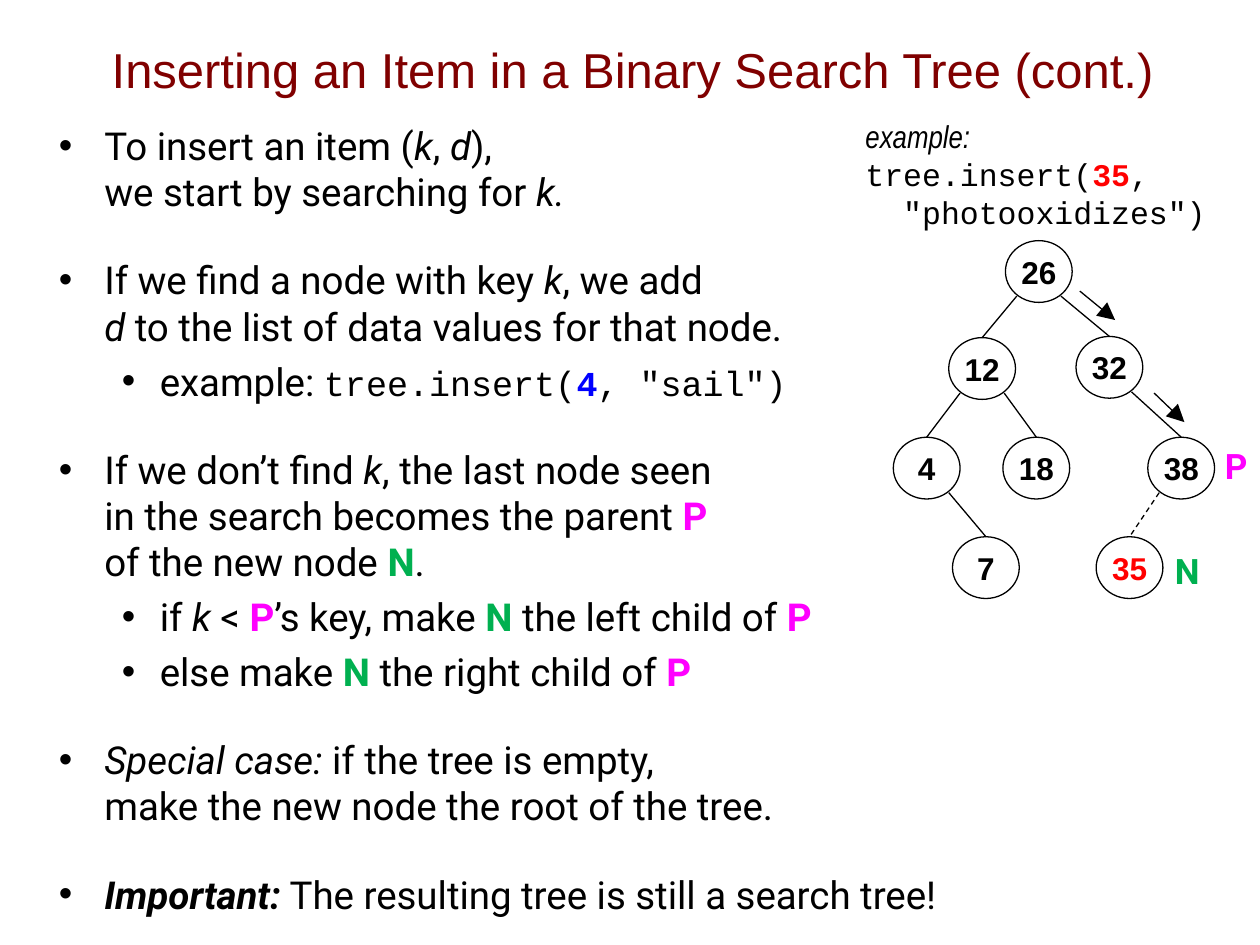
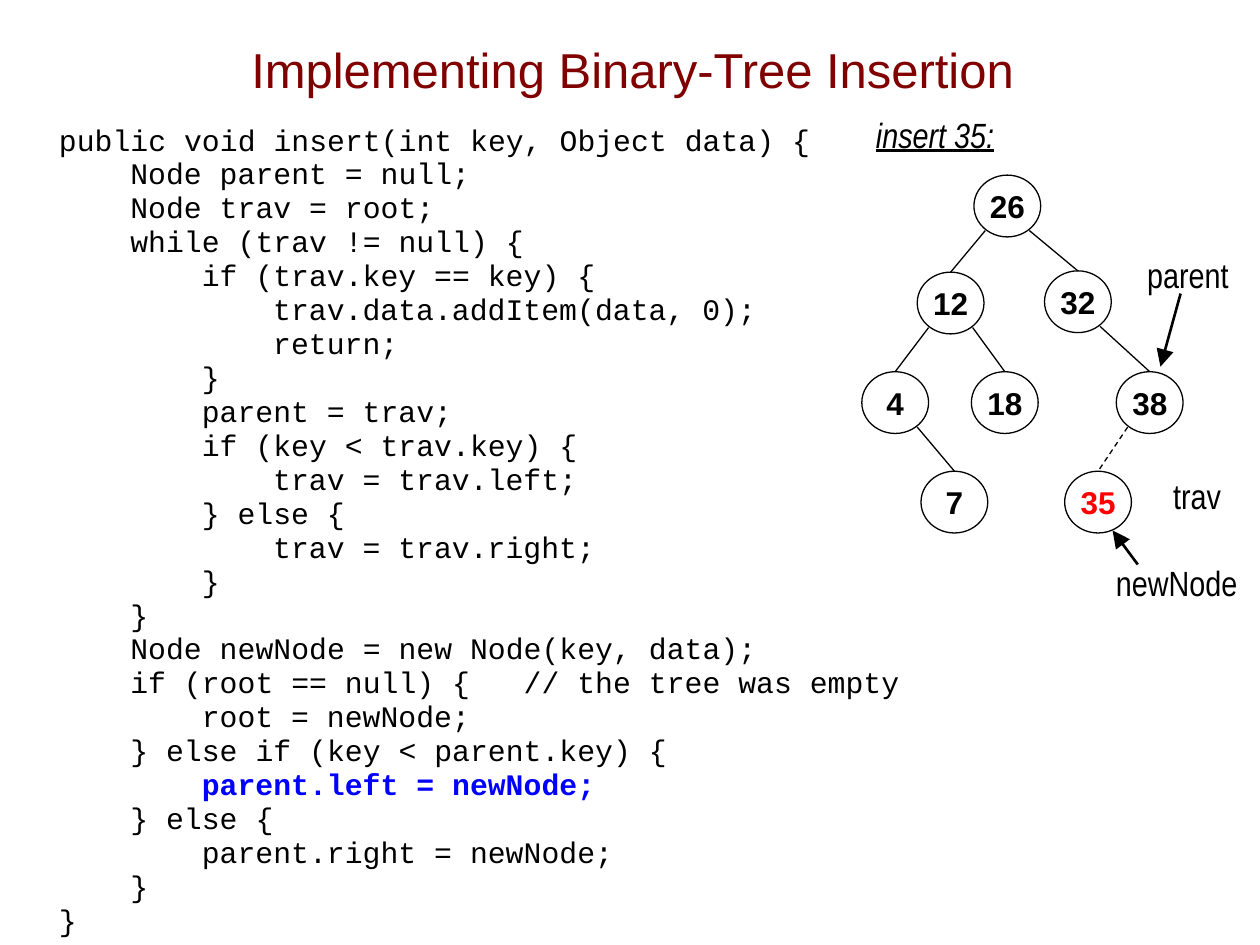
"""Builds two slides on inserting an item in a binary search tree."""
from lxml import etree
from pptx import Presentation
from pptx.dml.color import RGBColor
from pptx.enum.dml import MSO_LINE
from pptx.enum.shapes import MSO_CONNECTOR, MSO_SHAPE
from pptx.enum.text import MSO_ANCHOR, MSO_AUTO_SIZE, PP_ALIGN
from pptx.oxml.ns import qn
from pptx.util import Inches, Pt

LEFT, CENTER, RIGHT = PP_ALIGN.LEFT, PP_ALIGN.CENTER, PP_ALIGN.RIGHT
MIDDLE = MSO_ANCHOR.MIDDLE
GROW = MSO_AUTO_SIZE.SHAPE_TO_FIT_TEXT
STRAIGHT = MSO_CONNECTOR.STRAIGHT
ELLIPSE, RECTANGLE = MSO_SHAPE.OVAL, MSO_SHAPE.RECTANGLE
DASH = MSO_LINE.DASH

COLORS = {"text": "000000", "title": "800000", "paper": "FFFFFF", "blue": "0000FF",
          "red": "FF0000", "parent": "FF00FF", "new": "00B050"}
SANS, NARROW, MONO, BODY = "Arial", "Arial Narrow", "Courier New", "Roboto"

STYLES = {
    "body": {"font": BODY, "size": 22},
    "italic": {"font": BODY, "size": 22, "italic": True},
    "strong": {"font": BODY, "size": 22, "italic": True, "bold": True},
    "P": {"font": BODY, "size": 22, "bold": True, "color": "parent"},
    "N": {"font": BODY, "size": 22, "bold": True, "color": "new"},
    "call": {"font": MONO, "size": 20},
    "call key": {"font": MONO, "size": 20, "bold": True, "color": "blue"},
    "code": {"font": MONO, "size": 17},
    "code key": {"font": MONO, "size": 17, "bold": True, "color": "blue"},
    "title": {"font": SANS, "size": 28, "color": "title"},
    "node": {"font": SANS, "size": 18, "bold": True},
    "new node": {"font": SANS, "size": 18, "bold": True, "color": "red"},
    "example": {"font": NARROW, "size": 18, "italic": True},
    "example call": {"font": MONO, "size": 18},
    "example key": {"font": MONO, "size": 18, "bold": True, "color": "red"},
    "P mark": {"font": BODY, "size": 20, "bold": True, "color": "parent"},
    "N mark": {"font": BODY, "size": 20, "bold": True, "color": "new"},
    "pointer": {"font": NARROW, "size": 20},
    "heading": {"font": NARROW, "size": 20, "italic": True, "underline": True},
}

TITLES = ["Inserting an Item in a Binary Search Tree (cont.)",
          "Implementing Binary-Tree Insertion"]
TITLE_BOX = (0.43, 0.08, 9.18, 0.93)
BODY_BOX = (0.37, 0.92, 9.63, 6.14)

BULLETS = [
    (0, [("To insert an item (", "body"), ("k", "italic"), (", ", "body"), ("d", "italic"),
         ("),\nwe start by searching for ", "body"), ("k.", "italic")]),
    (0, [("If we find a node with key ", "body"), ("k", "italic"), (", we add\n", "body"),
         ("d ", "italic"), ("to the list of data values for that node.", "body")]),
    (1, [("example: ", "body"), ("tree.insert(", "call"), ("4", "call key"),
         (', "sail")', "call")]),
    (0, [("If we don’t find ", "body"), ("k", "italic"),
         (", the last node seen\nin the search becomes the parent ", "body"), ("P", "P"),
         ("\nof the new node ", "body"), ("N", "N"), (".", "body")]),
    (1, [("if ", "body"), ("k", "italic"), (" < ", "body"), ("P", "P"),
         ("’s key, make ", "body"), ("N", "N"), (" the left child of ", "body"), ("P", "P")]),
    (1, [("else make ", "body"), ("N", "N"), (" the right child of ", "body"), ("P", "P")]),
    (0, [("Special case:", "italic"),
         (" if the tree is empty,\nmake the new node the root of the tree.", "body")]),
    (0, [("Important:", "strong"), (" The resulting tree is still a search tree!", "body")]),
]
BULLET_INDENTS = [(0.36, -0.36), (0.8, -0.3)]
BULLET_GAPS = [24, 5]
FIRST_GAP = 14.2

CODE = [
    (0, "public void insert(int key, Object data) {"),
    (1, "Node parent = null;"),
    (1, "Node trav = root;"),
    (1, "while (trav != null) {"),
    (2, "if (trav.key == key) {"),
    (3, "trav.data.addItem(data, 0);"),
    (3, "return;"),
    (2, "}"),
    (2, "parent = trav;"),
    (2, "if (key < trav.key) {"),
    (3, "trav = trav.left;"),
    (2, "} else {"),
    (3, "trav = trav.right;"),
    (2, "}"),
    (1, "}"),
    (1, "Node newNode = new Node(key, data);"),
    (1, "if (root == null) {   // the tree was empty"),
    (2, "root = newNode;"),
    (1, "} else if (key < parent.key) {"),
    (2, "parent.left = newNode;"),
    (1, "} else {"),
    (2, "parent.right = newNode;"),
    (1, "}"),
    (0, "}"),
]
KEY_LINE = "parent.left = newNode;"
CODE_STEP = 4 * 0.6 * 17 / 72

TREE_ORIGINS = [(7, 1.9), (6.75, 1.38)]
NODES = {"26": (0.98, 0.01), "12": (0.53, 0.78), "32": (1.54, 0.77), "4": (0.09, 1.57),
         "18": (0.96, 1.57), "38": (2.11, 1.57), "7": (0.56, 2.36), "35": (1.7, 2.36)}
NEW_KEY = "35"
EDGES = [("26", "12"), ("26", "32"), ("12", "4"), ("12", "18"), ("32", "38"),
         ("4", "7"), ("38", "35")]
NODE_W, NODE_H = 0.53, 0.49
LABEL_W, LABEL_H, LABEL_SHIFT = 0.61, 0.41, 0.04
EDGE_INSET, EDGE_DROP = 0.09, 0.44

EXAMPLE = [
    (0, [("example:", "example")]),
    (0, [("tree.insert(", "example call"), ("35", "example key"), (",", "example call")]),
    (0.3, [('"photooxidizes")', "example call")]),
]
EXAMPLE_BOX = (6.77, 0.88, 3.01, 1.01)
NOTES = [
    [("P", "P mark", (9.61, 3.48, 0.39, 0.43)), ("N", "N mark", (9.21, 4.31, 0.41, 0.44))],
    [("trav", "pointer", (9.21, 3.72, 0.58, 0.43)),
     ("newNode", "pointer", (8.62, 4.41, 1.3, 0.43)),
     ("parent", "pointer", (9, 1.96, 0.85, 0.43)),
     ("insert 35:", "heading", (6.65, 0.85, 1.34, 0.44))],
]
ARROWS = [
    [((8.57, 2.31), (8.85, 2.54), 0.75), ((9.16, 3.12), (9.4, 3.35), 0.75)],
    [((9.03, 4.48), (8.83, 4.21), 1.5), ((9.37, 2.33), (9.21, 2.91), 1.5)],
]


def color(name):
    return RGBColor.from_string(COLORS[name])


def inches(values):
    return [Inches(value) for value in values]


def format_span(span, style):
    look = STYLES[style]
    font = span.font
    font.name, font.size = look["font"], Pt(look["size"])
    font.bold, font.italic = look.get("bold", False), look.get("italic", False)
    font.underline = look.get("underline", False)
    font.color.rgb = color(look.get("color", "text"))


def write_spans(para, spans):
    for text, style in spans:
        for number, line in enumerate(text.split("\n")):
            if number:
                para.add_line_break()
            if line:
                span = para.add_run()
                span.text = line
                format_span(span, style)


def write_line(frame, text, style, align):
    frame.text = text
    para = frame.paragraphs[0]
    para.alignment = align
    format_span(para.runs[0], style)


def set_indent(para, margin, indent=0):
    props = para._p.get_or_add_pPr()
    props.set("marL", str(Inches(margin)))
    props.set("indent", str(Inches(indent)))
    return props


def add_bullet(para, level):
    props = set_indent(para, *BULLET_INDENTS[level])
    shade = etree.SubElement(props, qn("a:buClr"))
    etree.SubElement(shade, qn("a:srgbClr"), val=COLORS["text"])
    etree.SubElement(props, qn("a:buFont"), typeface=SANS)
    etree.SubElement(props, qn("a:buChar"), char="•")


def add_frame(page, place, wrap):
    frame = page.shapes.add_textbox(*inches(place)).text_frame
    frame.word_wrap = wrap
    if not wrap:
        frame.auto_size = GROW
    return frame


def paragraphs(frame, items):
    for number, item in enumerate(items):
        yield frame.add_paragraph() if number else frame.paragraphs[0], number, item


def add_line(page, start, end, width=0.75, dashed=False, arrow=False):
    line = page.shapes.add_connector(STRAIGHT, *inches(start + end))
    line.line.color.rgb = color("text")
    line.line.width = Pt(width)
    if dashed:
        line.line.dash_style = DASH
    if arrow:
        etree.SubElement(line.line._get_or_add_ln(), qn("a:tailEnd"),
                         type="triangle", w="lg", len="lg")
    etree.SubElement(line._element.spPr, qn("a:effectLst"))


def add_node(page, key, left, top):
    label = page.shapes.add_shape(RECTANGLE, *inches(
        (left - LABEL_SHIFT, top + LABEL_SHIFT, LABEL_W, LABEL_H)))
    label.fill.solid()
    label.fill.fore_color.rgb = color("paper")
    label.line.fill.background()
    label.text_frame.vertical_anchor = MIDDLE
    write_line(label.text_frame, key, "new node" if key == NEW_KEY else "node", CENTER)
    ring = page.shapes.add_shape(ELLIPSE, *inches((left, top, NODE_W, NODE_H)))
    ring.fill.background()
    ring.line.color.rgb = color("text")
    ring.line.width = Pt(0.75)
    for shape in (label, ring):
        shape.shadow.inherit = False


def add_tree(page, origin):
    spots = {key: (origin[0] + x, origin[1] + y) for key, (x, y) in NODES.items()}
    for key, spot in spots.items():
        add_node(page, key, *spot)
    for parent, child in EDGES:
        (left, top), (child_left, child_top) = spots[parent], spots[child]
        inset = EDGE_INSET if child_left < left else NODE_W - EDGE_INSET
        add_line(page, (left + inset, top + EDGE_DROP), (child_left + NODE_W / 2, child_top),
                 dashed=child == NEW_KEY)


def add_bullets(page):
    frame = add_frame(page, BODY_BOX, True)
    for para, number, (level, spans) in paragraphs(frame, BULLETS):
        para.level = level
        para.space_before = Pt(BULLET_GAPS[level] if number else FIRST_GAP)
        add_bullet(para, level)
        write_spans(para, spans)


def add_code(page):
    frame = add_frame(page, BODY_BOX, True)
    for para, number, (depth, text) in paragraphs(frame, CODE):
        para.line_spacing = 0.95 if number else 1.0
        set_indent(para, depth * CODE_STEP)
        write_spans(para, [(text, "code key" if text == KEY_LINE else "code")])


def add_example(page):
    frame = add_frame(page, EXAMPLE_BOX, False)
    for para, _, (margin, spans) in paragraphs(frame, EXAMPLE):
        para.alignment = LEFT
        set_indent(para, margin)
        write_spans(para, spans)


def add_page(deck, index):
    page = deck.slides.add_slide(deck.slide_layouts[5])
    title = page.shapes.title
    title.left, title.top, title.width, title.height = inches(TITLE_BOX)
    title.text_frame.vertical_anchor = MIDDLE
    write_line(title.text_frame, TITLES[index], "title", CENTER)
    (add_bullets, add_code)[index](page)
    add_tree(page, TREE_ORIGINS[index])
    for start, end, width in ARROWS[index]:
        add_line(page, start, end, width, arrow=True)
    for text, style, place in NOTES[index]:
        write_line(add_frame(page, place, False), text, style, RIGHT)
    return page


def main():
    deck = Presentation()
    deck.slide_width, deck.slide_height = Inches(10), Inches(7.5)
    add_example(add_page(deck, 0))
    add_page(deck, 1)
    deck.save("out.pptx")


if __name__ == "__main__":
    main()
